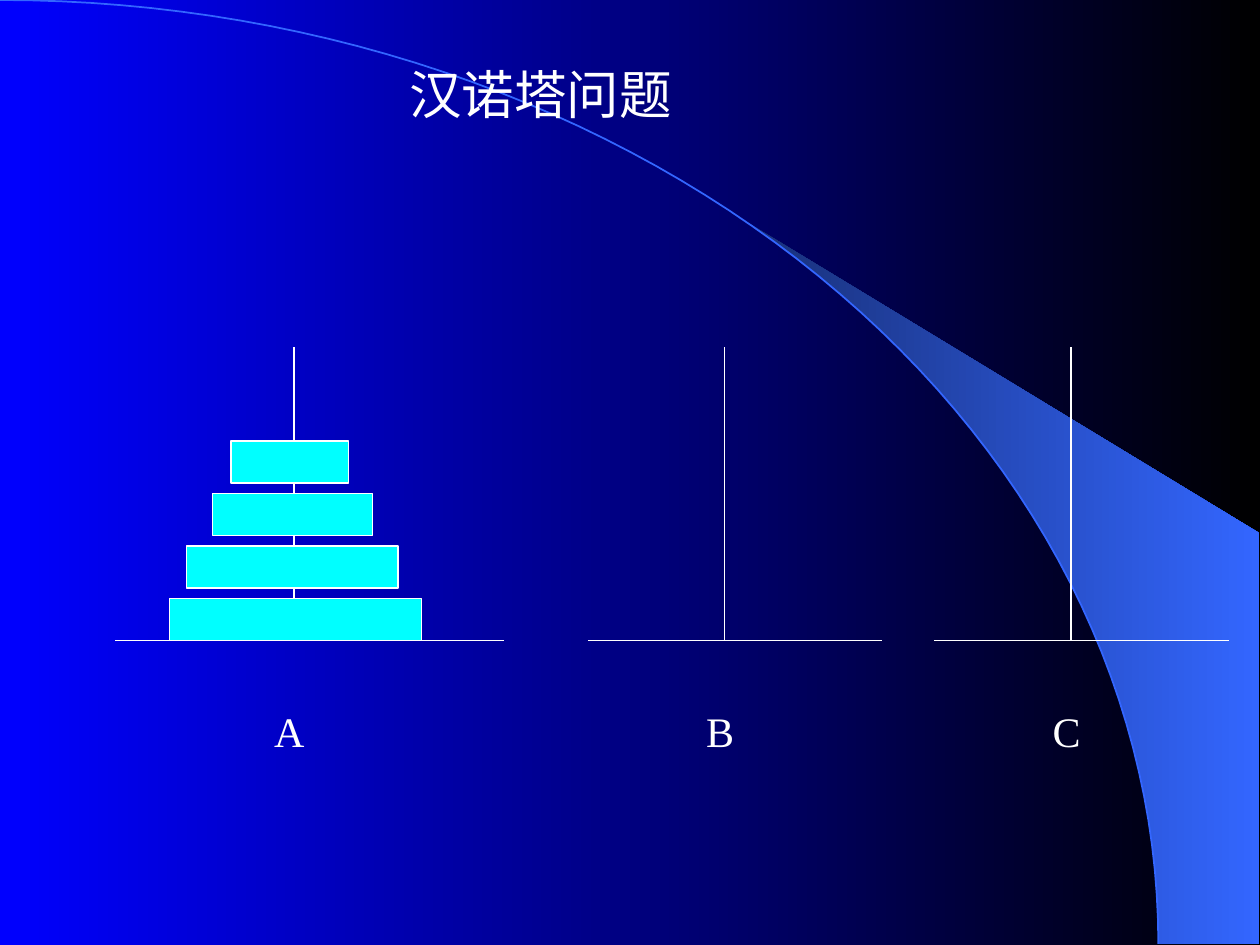
from math import asin, cos, pi, sin

from lxml.etree import SubElement
from pptx import Presentation
from pptx.dml.color import RGBColor
from pptx.enum.shapes import MSO_CONNECTOR as Link, MSO_SHAPE as Shape
from pptx.enum.text import MSO_AUTO_SIZE as Fit
from pptx.oxml.ns import qn
from pptx.util import Pt

WHITE = RGBColor(0xFF, 0xFF, 0xFF)
BLACK = RGBColor(0, 0, 0)
BLUE = RGBColor(0, 0, 0xFF)
NAVY = RGBColor(0x18, 0x2F, 0x76)
SKY = RGBColor(0x33, 0x66, 0xFF)
CYAN = RGBColor(0, 0xFF, 0xFF)
FONT = "Times New Roman"


def blend(fill, start, end):
    fill.gradient()
    fill.gradient_angle = 0
    for stop, color in zip(fill.gradient_stops, (start, end)):
        stop.color.rgb = color


def curve(box, start, steps=60):
    left, top, width, height = box
    turns = [start + (pi / 2 - start) * i / steps for i in range(steps + 1)]
    return [(left + width * sin(t), top + height * (1 - cos(t))) for t in turns]


def outline(slide, points, close):
    spots = [(Pt(x), Pt(y)) for x, y in points]
    pen = slide.shapes.build_freeform(*spots[0])
    pen.add_line_segments(spots[1:], close=close)
    shape = pen.convert_to_shape()
    shape.shadow.inherit = False
    return shape


def backdrop(slide, box):
    blend(slide.background.fill, BLUE, BLACK)
    left, top, width, height = box
    oval = (left, top, width * 0.92, height)
    right = left + width
    edge = [(right, top + height), (right, top + 304.6)]
    wing = outline(slide, curve(oval, asin(0.64)) + edge, True)
    blend(wing.fill, NAVY, SKY)
    wing.line.fill.background()
    arc = outline(slide, curve(oval, 0), False)
    arc.fill.background()
    arc.line.color.rgb = SKY
    arc.line.width = Pt(1)


def label(slide, box, text, size):
    area = slide.shapes.add_textbox(*map(Pt, box))
    frame = area.text_frame
    frame.word_wrap = False
    frame.auto_size = Fit.SHAPE_TO_FIT_TEXT
    para = frame.paragraphs[0]
    para.text = text
    para.font.name = FONT
    para.font.size = Pt(size)
    para.font.color.rgb = WHITE


def rule(slide, *ends):
    line = slide.shapes.add_connector(Link.STRAIGHT, *map(Pt, ends))
    line.line.color.rgb = WHITE
    line.line.width = Pt(0.75)
    props = line._element.spPr
    SubElement(props, qn("a:effectLst"))


def peg(slide, box, pole, name, wide):
    left, top, width, height = box
    base = top + height
    mid = left + pole
    rule(slide, left, base, left + width, base)
    rule(slide, mid, base, mid, top)
    label(slide, (mid - wide / 2 - 2.5, base + 33.8, wide, 36), name, 24)


def tower(slide, box, discs):
    left, top, width, height = box
    pitch = (height - 24) / (len(discs) - 1)
    for i, (shift, wide) in enumerate(discs):
        spot = (left + shift, top + height - 24 - i * pitch, wide, 24)
        disc = slide.shapes.add_shape(Shape.RECTANGLE, *map(Pt, spot))
        disc.shadow.inherit = False
        disc.fill.solid()
        disc.fill.fore_color.rgb = CYAN
        disc.line.color.rgb = WHITE
        disc.line.width = Pt(0.75)


def main():
    deck = Presentation()
    deck.slide_width, deck.slide_height = Pt(720), Pt(540)
    slide = deck.slides.add_slide(deck.slide_layouts[6])
    backdrop(slide, (0, 0, 719.5, 539.3))
    label(slide, (226.8, 31.7, 164.2, 43.2), "汉诺塔问题", 30)
    peg(slide, (66, 198, 222, 168), 102, "A", 31.7)
    peg(slide, (336, 198, 168, 168), 78, "B", 30.2)
    peg(slide, (534, 198, 168, 168), 78, "C", 30.2)
    discs = [(0, 144), (9.5, 121), (24.5, 91.5), (35, 67)]
    tower(slide, (97, 252, 144, 114), discs)
    deck.save("out.pptx")


if __name__ == "__main__":
    main()
